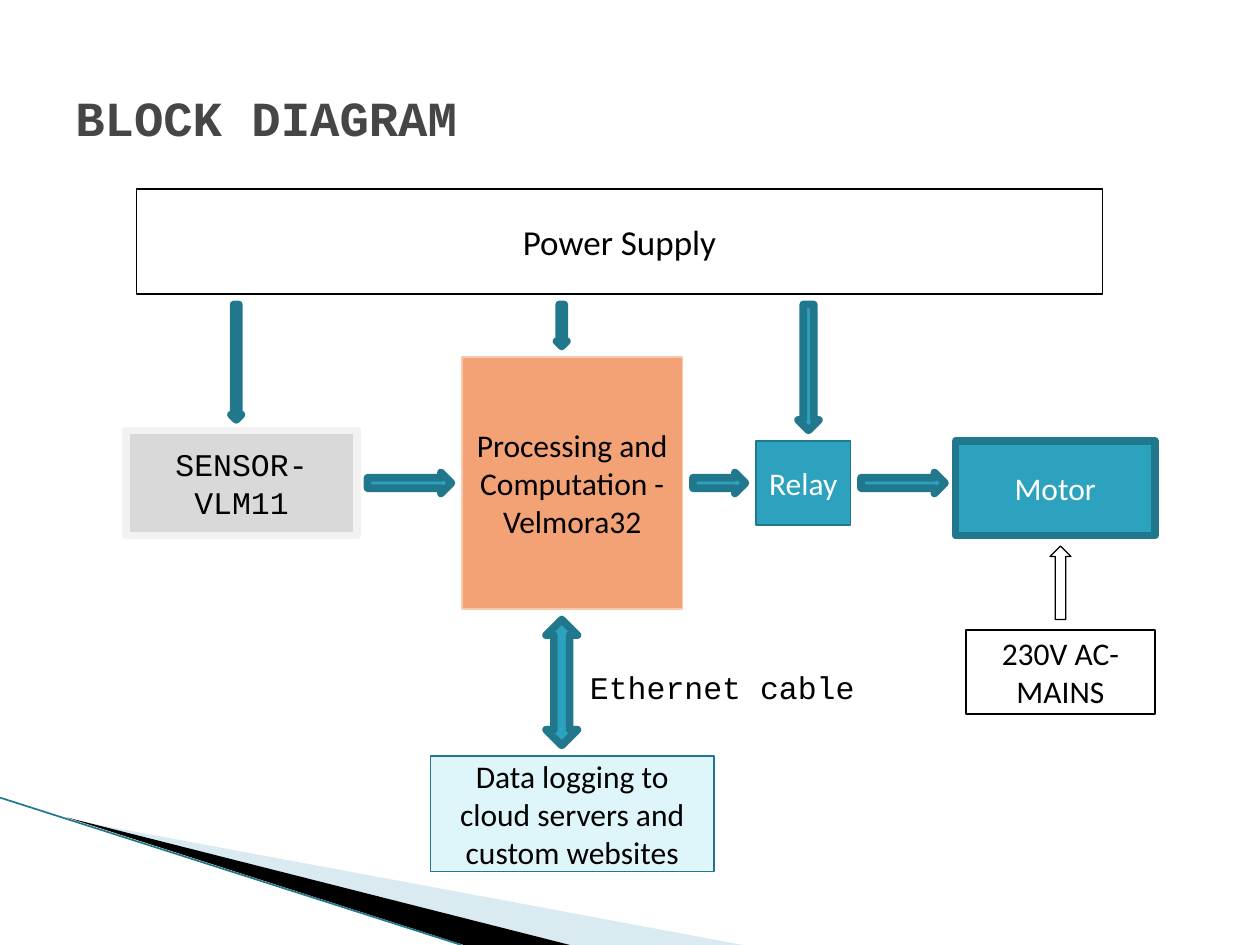
"""Build a block diagram slide of a sensor and motor control system."""
from lxml.etree import SubElement
from pptx import Presentation
from pptx.dml.color import RGBColor as Rgb
from pptx.enum.shapes import MSO_CONNECTOR as Link, MSO_SHAPE as Kind
from pptx.enum.text import MSO_ANCHOR as Anchor, PP_ALIGN as Align
from pptx.oxml.ns import qn
from pptx.util import Cm, Pt

BLACK = Rgb(0x00, 0x00, 0x00)
WHITE = Rgb(0xFF, 0xFF, 0xFF)
TEAL = Rgb(0x2D, 0xA2, 0xBF)
DEEP = Rgb(0x21, 0x78, 0x8D)
PALE = Rgb(0xDE, 0xF5, 0xFA)
MIST = Rgb(0xA0, 0xCB, 0xDC)
GREY = Rgb(0xD9, 0xD9, 0xD9)
LIGHT = Rgb(0xF2, 0xF2, 0xF2)
ORANGE = Rgb(0xF3, 0xA2, 0x76)
PEACH = Rgb(0xF8, 0xC9, 0xAF)
SLATE = Rgb(0x46, 0x46, 0x46)
SANS, MONO = "Calibri", "Courier New"
THIN, THICK = 0.75, 4.33
UNIT = 2.54 / 12
FINE = Cm(0.01)

WEDGES = [
    ([(140, 1652), (1498, 1905), (1148, 1905)], MIST, 40),
    ([(135, 1648), (1149, 1905), (935, 1905)], BLACK, 100),
]
EDGE = (0, 16.08, 9.3, 19.05)

BOXES = [
    ("SENSOR-\nVLM11", (12, 41, 22, 10), GREY, LIGHT, THICK, MONO, 18, BLACK),
    ("Power Supply", (13, 18, 92, 10), None, BLACK, THIN, SANS, 20, BLACK),
    ("Processing and Computation -\nVelmora32", (44, 34, 21, 24),
     ORANGE, PEACH, THIN, SANS, 18, BLACK),
    ("Data logging to cloud servers and custom websites", (41, 72, 27, 11),
     PALE, DEEP, THIN, SANS, 18, BLACK),
    ("Relay", (72, 42, 9, 8), TEAL, DEEP, THIN, SANS, 18, WHITE),
    ("Motor", (91, 42, 19, 9), TEAL, DEEP, THICK, SANS, 18, WHITE),
    ("230V AC- MAINS", (92, 60, 18, 8), WHITE, BLACK, THIN, SANS, 18, BLACK),
]

FLOW = (TEAL, DEEP, THICK)
ARROWS = [
    (Kind.UP_DOWN_ARROW, (52, 59, 3, 12), FLOW),
    (Kind.RIGHT_ARROW, (35, 45, 8, 2), FLOW),
    (Kind.RIGHT_ARROW, (66, 45, 5, 2), FLOW),
    (Kind.RIGHT_ARROW, (82, 45, 8, 2), FLOW),
    (Kind.DOWN_ARROW, (22, 29, 1, 11), FLOW),
    (Kind.DOWN_ARROW, (76, 29, 2, 12), FLOW),
    (Kind.DOWN_ARROW, (53, 29, 1, 4), FLOW),
    (Kind.UP_ARROW, (100, 52, 2, 7), (WHITE, BLACK, THIN)),
]

LABELS = [
    ("BLOCK DIAGRAM", (6, 3.6, 108, 15), 28, SLATE, True, Anchor.MIDDLE),
    ("Ethernet cable", (55, 63, 28, 4.8), 18, BLACK, False, Anchor.TOP),
]


def place(cells):
    """Turn grid cells into lengths."""
    return [Cm(cell * UNIT) for cell in cells]


def paint(shape, fill, line, width):
    """Set fill and outline, without shadow."""
    shape.shadow.inherit = False
    if fill is None:
        shape.fill.background()
    else:
        shape.fill.solid()
        shape.fill.fore_color.rgb = fill
    if line is None:
        shape.line.fill.background()
    else:
        shape.line.color.rgb = line
        shape.line.width = Pt(width)
        if width == THICK:
            SubElement(shape.line._ln, qn("a:round"))


def write(shape, text, font, size, color, align, anchor, bold=False):
    """Put styled text into a shape."""
    frame = shape.text_frame
    frame.text = text
    frame.word_wrap = True
    frame.vertical_anchor = anchor
    for para in frame.paragraphs:
        para.alignment = align
        for run in para.runs:
            run.font.name = font
            run.font.size = Pt(size)
            run.font.bold = bold
            run.font.color.rgb = color


def main():
    """Draw the slide and save it."""
    deck = Presentation()
    deck.slide_width, deck.slide_height = Cm(25.4), Cm(19.05)
    shapes = deck.slides.add_slide(deck.slide_layouts[6]).shapes

    for points, fill, alpha in WEDGES:
        pen = shapes.build_freeform(*points[0], scale=FINE)
        pen.add_line_segments(points[1:])
        wedge = pen.convert_to_shape()
        paint(wedge, fill, None, 0)
        if alpha < 100:
            tint = wedge.fill._xPr.find(".//" + qn("a:srgbClr"))
            SubElement(tint, qn("a:alpha"), val=str(alpha * 1000))

    edge = shapes.add_connector(Link.STRAIGHT, *map(Cm, EDGE))
    edge.line.color.rgb = DEEP
    edge.line.width = Pt(0.95)
    SubElement(edge._element.spPr, qn("a:effectLst"))

    for text, cells, fill, line, width, font, size, color in BOXES:
        box = shapes.add_shape(Kind.RECTANGLE, *place(cells))
        paint(box, fill, line, width)
        write(box, text, font, size, color, Align.CENTER, Anchor.MIDDLE)

    for kind, cells, style in ARROWS:
        paint(shapes.add_shape(kind, *place(cells)), *style)

    for text, cells, size, color, bold, anchor in LABELS:
        label = shapes.add_textbox(*place(cells))
        write(label, text, MONO, size, color, Align.LEFT, anchor, bold)

    deck.save("out.pptx")


if __name__ == "__main__":
    main()
